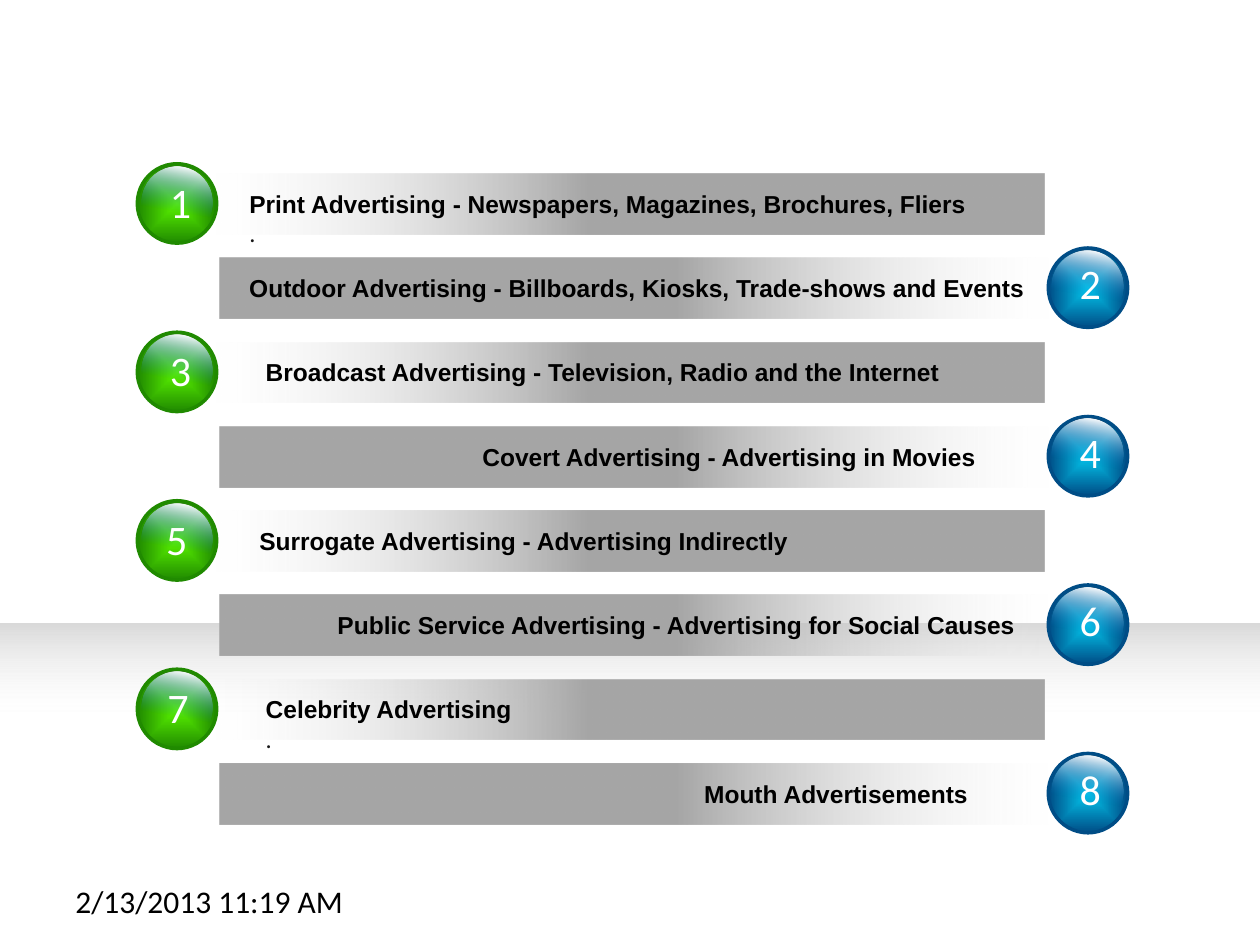
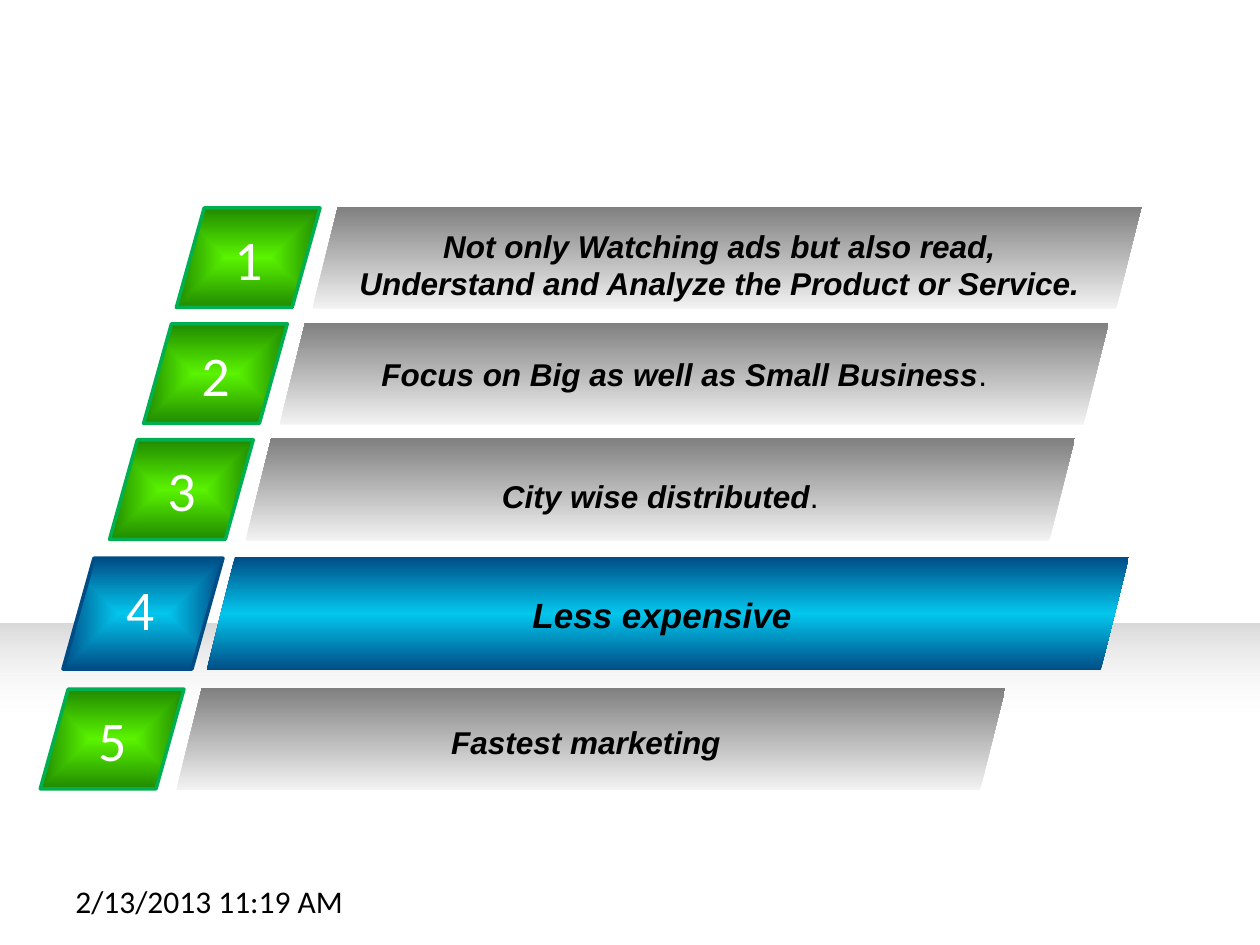
from pptx import Presentation
from pptx.dml.color import RGBColor
from pptx.enum.shapes import MSO_SHAPE as SHAPE
from pptx.enum.text import PP_ALIGN as ALIGN
from pptx.oxml import parse_xml
from pptx.oxml.ns import nsdecls, qn
from pptx.util import Inches, Pt

WHITE = RGBColor(0xFF, 0xFF, 0xFF)
BLACK = RGBColor(0, 0, 0)
INK = RGBColor(0x17, 0x17, 0x17)
PALE = RGBColor(0xF2, 0xF2, 0xF2)
SILVER = RGBColor(0xD9, 0xD9, 0xD9)
GRAY = RGBColor(0xA6, 0xA6, 0xA6)
DARK_GRAY = RGBColor(0x80, 0x80, 0x80)
LIME = RGBColor(0x5A, 0xF3, 0x00)
GREEN = RGBColor(0x20, 0x8A, 0x00)
EDGE_GREEN = RGBColor(0x00, 0xB0, 0x50)
CYAN = RGBColor(0x03, 0xC6, 0xED)
NAVY = RGBColor(0x00, 0x4D, 0x86)
BLUE = RGBColor(0x00, 0x70, 0xC0)


def add_gradient(shapes, kind, box, stops, angle=None, edge=None):
    """Add a shape filled with (percent, colour, alpha) stops.

    The angle runs clockwise; without one the gradient spreads from the centre.
    """
    sp = shapes.add_shape(kind, *map(Inches, box))
    sp.shadow.inherit = False
    sp.fill.solid()
    gs = "".join(
        f'<a:gs pos="{pos * 1000}"><a:srgbClr val="{color}">'
        f'<a:alpha val="{alpha * 1000}"/></a:srgbClr></a:gs>'
        for pos, color, alpha in stops)
    if angle is None:
        way = ('<a:path path="shape"><a:fillToRect l="50000" t="50000" '
               'r="50000" b="50000"/></a:path>')
    else:
        way = f'<a:lin ang="{angle * 60000}" scaled="0"/>'
    solid = sp.element.spPr.find(qn("a:solidFill"))
    sp.element.spPr.replace(solid, parse_xml(
        f'<a:gradFill {nsdecls("a")} rotWithShape="1">'
        f'<a:gsLst>{gs}</a:gsLst>{way}</a:gradFill>'))
    if edge is None:
        sp.line.fill.background()
    else:
        sp.line.color.rgb = edge
        sp.line.width = Pt(2)
    return sp


def add_text(shapes, box, text, size, font="Calibri", color=BLACK,
             bold=False, italic=False, align=ALIGN.LEFT):
    tf = shapes.add_textbox(*map(Inches, box)).text_frame
    tf.word_wrap = True
    p = tf.paragraphs[0]
    p.alignment = align
    r = p.add_run()
    r.text = text
    f = r.font
    f.size, f.name, f.color.rgb = Pt(size), font, color
    f.bold, f.italic = bold, italic
    return tf


prs = Presentation()
prs.slide_width, prs.slide_height = Inches(10), Inches(7.5)
layout = prs.slide_layouts[6]
for ph in list(layout.placeholders):
    ph.element.getparent().remove(ph.element)
types, benefits = [prs.slides.add_slide(layout) for _ in range(2)]

# The floor band belongs to the layout both slides use
band = add_gradient(types.shapes, SHAPE.RECTANGLE, (0, 4.95, 10, 2.02),
                    [(61, WHITE, 0), (100, SILVER, 100)], 270)
layout.shapes.element.append(band.element)

# Types of advertising: bars with a ball on alternating sides
TOP, PITCH = 1.3, 4.68 / 7
BAR_W, BAR_H, BALL, GLOSS = 6.58, 0.48, 0.63, 0.57
# label, label left, label width, number left, closing dot
ad_types = [
    ("Print Advertising - Newspapers, Magazines, Brochures, Fliers", 1.88, 6.18, 1.25, True),
    ("Outdoor Advertising - Billboards, Kiosks, Trade-shows and Events", 1.88, 6.6, 8.47, False),
    ("Broadcast Advertising - Television, Radio and the Internet", 2.01, 6.25, 1.25, False),
    ("Covert Advertising - Advertising in Movies", 3.73, 4.74, 8.47, False),
    ("Surrogate Advertising - Advertising Indirectly", 1.96, 5.78, 1.22, False),
    ("Public Service Advertising - Advertising for Social Causes", 2.58, 5.89, 8.47, False),
    ("Celebrity Advertising", 2.01, 6.25, 1.23, True),
    ("Mouth Advertisements", 5.49, 2.56, 8.47, False),
]
for i, (label, label_x, label_w, number_x, dotted) in enumerate(ad_types):
    y = TOP + i * PITCH
    if i % 2 == 0:
        ball_x, bar_x, number_y = 1.09, 1.71, y + 0.05
        core, rim = LIME, GREEN
        fade = [(0, PALE, 0), (45, GRAY, 100)]
    else:
        ball_x, bar_x, number_y = 8.32, 1.74, y + 0.03
        core, rim = CYAN, NAVY
        fade = [(55, GRAY, 100), (100, PALE, 0)]
    group = types.shapes.add_group_shape().shapes
    add_gradient(group, SHAPE.RECTANGLE, (bar_x, y + 0.08, BAR_W, BAR_H), fade, 0)
    add_gradient(group, SHAPE.OVAL, (ball_x, y, BALL, BALL),
                 [(0, core, 100), (100, rim, 100)], edge=rim)
    add_gradient(group, SHAPE.OVAL, (ball_x + 0.03, y + 0.02, GLOSS, GLOSS),
                 [(6, WHITE, 100), (61, BLUE, 0)], 100)
    add_text(group, (number_x, number_y, 0.44, 0.5), str(i + 1), 24, color=WHITE)
    tf = add_text(group, (label_x, y + 0.15, label_w, 0.57 if dotted else 0.34),
                  label, 14, "Arial", bold=True)
    if dotted:
        p = tf.add_paragraph()
        p.text = "."
        p.font.size, p.font.name, p.font.color.rgb = Pt(14), "Calibri", INK

# Benefits: slanted rows, the fourth one larger and blue
# caption, closing dot, tile left and top, caption left and top
rows = [
    ("Not only Watching ads but also read, Understand and Analyze the Product or Service.",
     "", 1.4, 1.65, 2.75, 1.75),
    ("Focus on Big as well as Small Business", ".", 1.14, 2.57, 2.47, 2.77),
    ("City wise distributed", ".", 0.87, 3.49, 2.28, 3.74),
    ("Less expensive", "", 0.5, 4.43, 1.97, 4.66),
    ("Fastest marketing", "", 0.32, 5.47, 1.69, 5.69),
]
for number, (caption, dot, x, y, caption_x, caption_y) in enumerate(rows, 1):
    if number == 4:
        core, rim, edge = CYAN, NAVY, NAVY
        tile_w, tile_h, bar_dx, bar_w, bar_h = 1.27, 0.88, 1.14, 7.32, 0.9
        number_dx, caption_w, size = 0.4, 6.57, 20
        shade = [(0, NAVY, 100), (50, CYAN, 100), (100, NAVY, 100)]
    else:
        core, rim, edge = LIME, GREEN, EDGE_GREEN
        tile_w, tile_h, bar_dx, bar_w, bar_h = 1.14, 0.79, 1.08, 6.58, 0.81
        number_dx, caption_w, size = 0.36, 5.92, 18
        shade = [(0, PALE, 100), (100, DARK_GRAY, 100)]
    group = benefits.shapes.add_group_shape().shapes
    tile = add_gradient(group, SHAPE.PARALLELOGRAM, (x, y, tile_w, tile_h),
                        [(0, core, 100), (100, rim, 100)], edge=edge)
    tile.adjustments[0] = 0.28
    add_text(group, (x + number_dx, y + 0.08, 0.45, 0.64), str(number), 32, color=WHITE)
    add_gradient(benefits.shapes, SHAPE.PARALLELOGRAM,
                 (x + bar_dx, y - 0.01, bar_w, bar_h), shade, 270)
    tf = add_text(benefits.shapes, (caption_x, caption_y, caption_w, 0.4), caption,
                  size, "Arial", bold=True, italic=True, align=ALIGN.CENTER)
    if dot:
        r = tf.paragraphs[0].add_run()
        r.text = dot
        r.font.size, r.font.name, r.font.color.rgb = Pt(size), "Arial", BLACK

for s in (types, benefits):
    add_text(s.shapes, (0.5, 6.95, 2.4, 0.4), "2/13/2013 11:19 AM", 18)

prs.save("out.pptx")
